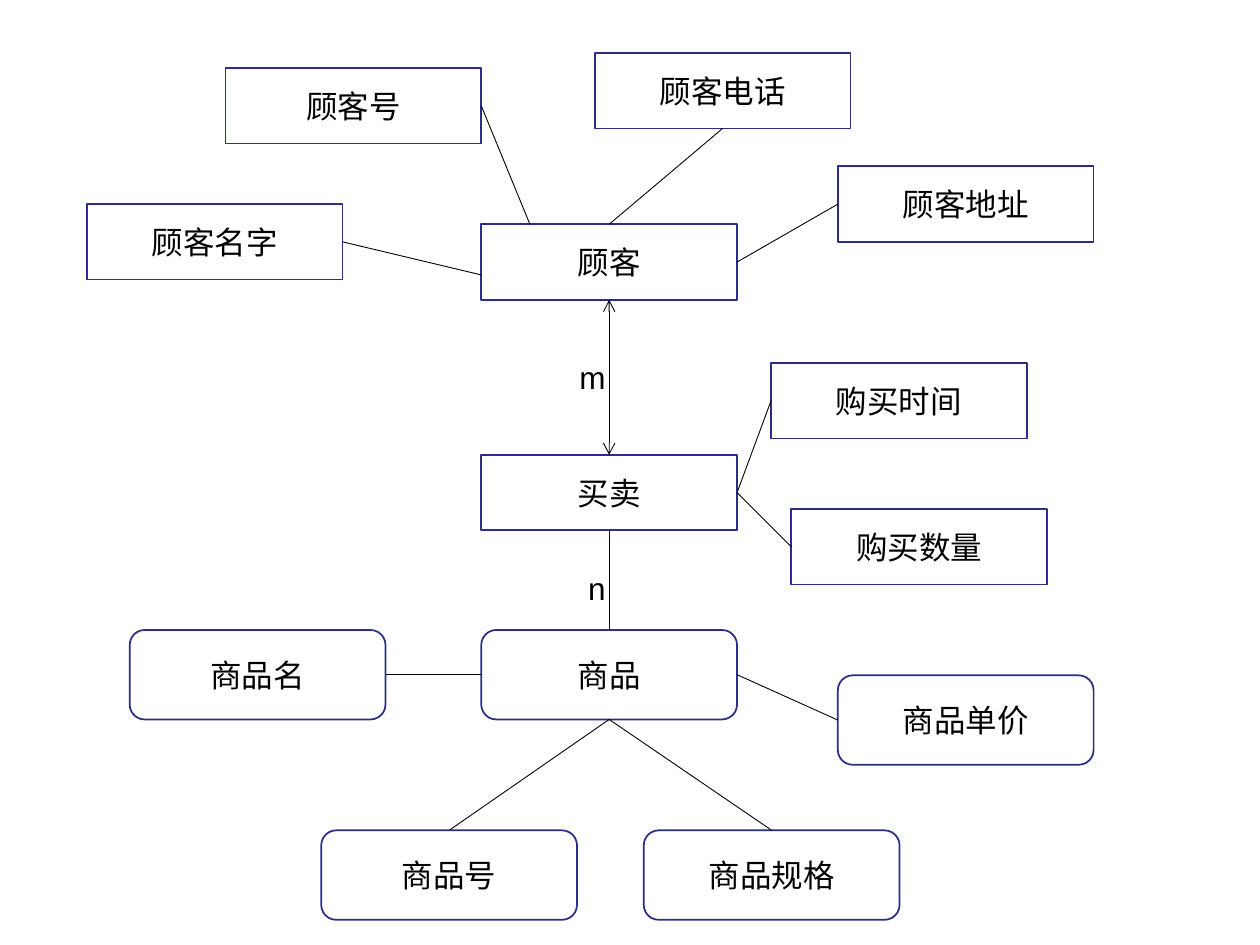
from lxml import etree
from pptx import Presentation
from pptx.dml.color import RGBColor
from pptx.enum.shapes import MSO_CONNECTOR, MSO_SHAPE
from pptx.enum.text import MSO_ANCHOR, PP_ALIGN
from pptx.oxml.ns import qn
from pptx.util import Inches, Pt

RECT, ROUND = MSO_SHAPE.RECTANGLE, MSO_SHAPE.ROUNDED_RECTANGLE
STRAIGHT = MSO_CONNECTOR.STRAIGHT
LEFT, CENTER = PP_ALIGN.LEFT, PP_ALIGN.CENTER
TOP, MIDDLE = MSO_ANCHOR.TOP, MSO_ANCHOR.MIDDLE

COLORS = {"fill": "FFFFFF", "edge": "2D2D89", "ink": "000000"}
WIDTH = 2.03
HEIGHTS = {RECT: 0.6, ROUND: 0.71}

# Boxes by shape: name, left, top
BOXES = {
    RECT: [
        ("顾客", 3.82, 1.78),
        ("顾客名字", 0.69, 1.62),
        ("顾客电话", 4.72, 0.42),
        ("顾客地址", 6.65, 1.32),
        ("顾客号", 1.79, 0.54),
        ("买卖", 3.82, 3.61),
        ("购买时间", 6.12, 2.88),
        ("购买数量", 6.28, 4.04),
    ],
    ROUND: [
        ("商品", 3.82, 5),
        ("商品号", 2.55, 6.59),
        ("商品规格", 5.11, 6.59),
        ("商品单价", 6.65, 5.36),
        ("商品名", 1.03, 5),
    ],
}

# Points on a box: share of width, share of height, connection site
SIDES = {
    "top": (0.5, 0, 0),
    "left": (0, 0.5, 1),
    "bottom": (0.5, 1, 2),
    "right": (1, 0.5, 3),
    "top left": (0.19, 0, None),
    "left low": (0, 0.67, None),
}

# Links: box, side, box, side, arrows at both ends
LINKS = [
    ("顾客名字", "right", "顾客", "left low", False),
    ("顾客号", "right", "顾客", "top left", False),
    ("顾客电话", "bottom", "顾客", "top", False),
    ("顾客地址", "left", "顾客", "right", False),
    ("顾客", "bottom", "买卖", "top", True),
    ("买卖", "right", "购买数量", "left", False),
    ("买卖", "right", "购买时间", "left", False),
    ("买卖", "bottom", "商品", "top", False),
    ("商品", "left", "商品名", "right", False),
    ("商品", "bottom", "商品号", "top", False),
    ("商品", "bottom", "商品规格", "top", False),
    ("商品", "right", "商品单价", "left", False),
]

# Cardinality labels: text, left, top
LABELS = [("m", 4.5, 2.79), ("n", 4.57, 4.47)]


def paint(name):
    return RGBColor.from_string(COLORS[name])


def write(shape, text, align=CENTER, anchor=MIDDLE, size=18):
    frame = shape.text_frame
    frame.word_wrap = True
    frame.vertical_anchor = anchor
    para = frame.paragraphs[0]
    para.alignment = align
    run = para.add_run()
    run.text = text
    run.font.name = "Arial"
    run.font.size = Pt(size)
    run.font.color.rgb = paint("ink")


def draw_box(slide, kind, text, left, top):
    box = slide.shapes.add_shape(
        kind, Inches(left), Inches(top), Inches(WIDTH), Inches(HEIGHTS[kind]))
    box.shadow.inherit = False
    box.fill.solid()
    box.fill.fore_color.rgb = paint("fill")
    box.line.color.rgb = paint("edge")
    box.line.width = Pt(1)
    write(box, text)
    return box


def find_point(box, side):
    across, down, _ = SIDES[side]
    return (round(box.left + box.width * across),
            round(box.top + box.height * down))


def draw_link(slide, start, out, end, into, arrows):
    link = slide.shapes.add_connector(
        STRAIGHT, *find_point(start, out), *find_point(end, into))
    link.line.color.rgb = paint("ink")
    link.line.width = Pt(0.5)
    # Glue the ends that sit on a connection site
    for join, box, side in ((link.begin_connect, start, out),
                            (link.end_connect, end, into)):
        site = SIDES[side][2]
        if site is not None:
            join(box, site)
    if arrows:
        line = link.line._get_or_add_ln()
        for tag in ("a:headEnd", "a:tailEnd"):
            etree.SubElement(line, qn(tag), type="arrow")
    etree.SubElement(link._element.spPr, qn("a:effectLst"))


def main():
    deck = Presentation()
    deck.slide_width, deck.slide_height = Inches(10), Inches(7.5)
    slide = deck.slides.add_slide(deck.slide_layouts[6])

    # Entities and their attributes
    boxes = {}
    for kind, rows in BOXES.items():
        for text, left, top in rows:
            boxes[text] = draw_box(slide, kind, text, left, top)

    # Links between boxes
    for start, out, end, into, arrows in LINKS:
        draw_link(slide, boxes[start], out, boxes[end], into, arrows)

    # Cardinality labels
    for text, left, top in LABELS:
        label = slide.shapes.add_textbox(
            Inches(left), Inches(top), Inches(0.22), Inches(0.4))
        write(label, text, align=LEFT, anchor=TOP)

    deck.save("out.pptx")


if __name__ == "__main__":
    main()
